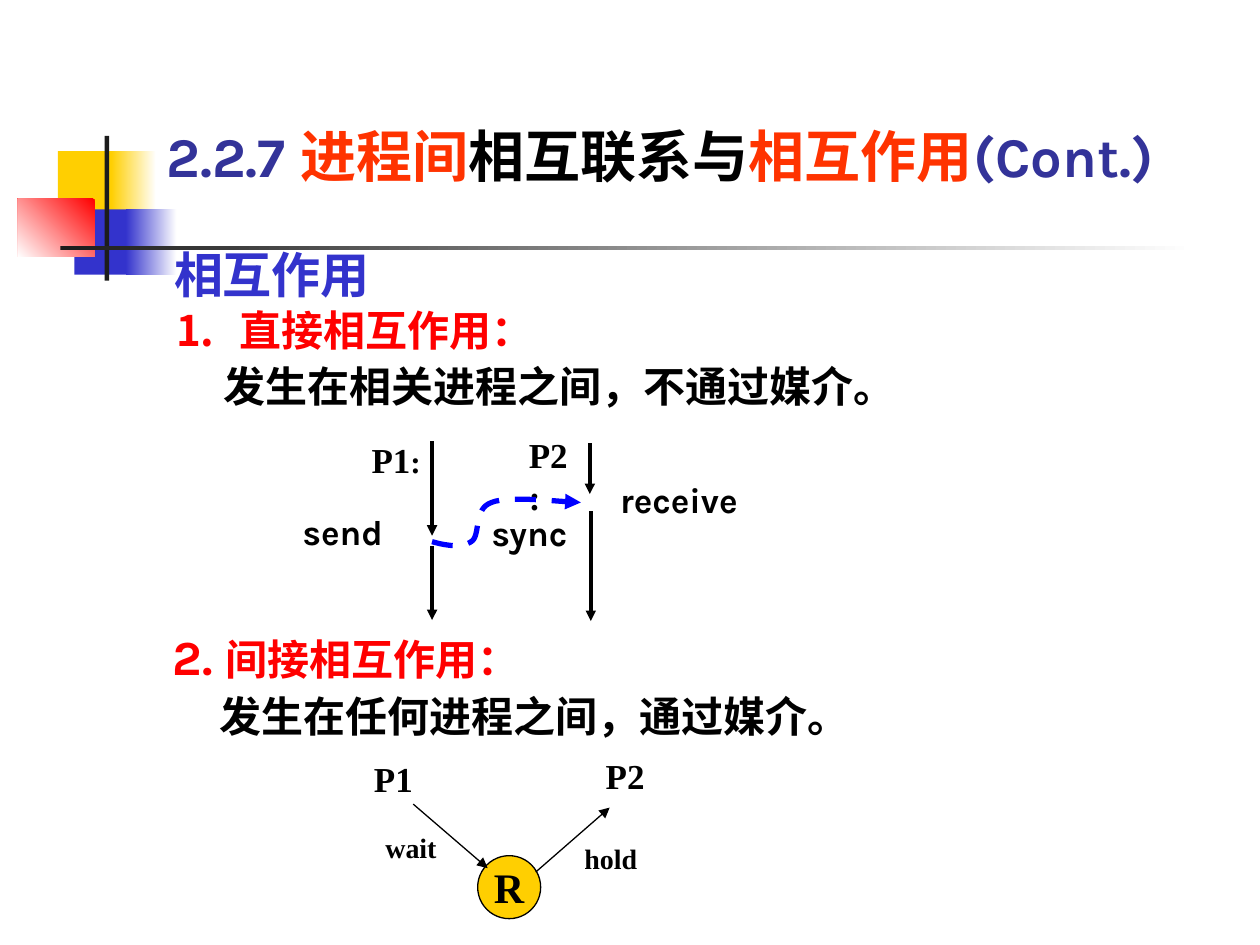
from dataclasses import dataclass
from typing import NamedTuple, Optional

from lxml import etree
from pptx import Presentation
from pptx.dml.color import RGBColor
from pptx.enum.dml import MSO_LINE
from pptx.enum.shapes import MSO_CONNECTOR, MSO_SHAPE
from pptx.enum.text import MSO_ANCHOR, PP_ALIGN
from pptx.oxml.ns import qn
from pptx.util import Cm, Pt

RECTANGLE, OVAL = MSO_SHAPE.RECTANGLE, MSO_SHAPE.OVAL
STRAIGHT, DASH = MSO_CONNECTOR.STRAIGHT, MSO_LINE.DASH
TOP, MIDDLE, BOTTOM = MSO_ANCHOR.TOP, MSO_ANCHOR.MIDDLE, MSO_ANCHOR.BOTTOM
CENTER = PP_ALIGN.CENTER


@dataclass(frozen=True)
class Theme:
    sans: str = "Karla"
    serif: str = "Times New Roman"
    white: str = "FFFFFF"
    black: str = "000000"
    charcoal: str = "1C1C1C"
    yellow: str = "FFCF01"
    blue: str = "3333CC"
    navy: str = "333399"
    orange: str = "FF3300"
    red: str = "FF0000"
    signal: str = "0000FF"
    title: float = 32
    topic: float = 28
    body: float = 24
    label: float = 20
    colon: float = 18
    small: float = 16


THEME = Theme()


class Box(NamedTuple):
    left: float
    top: float
    width: float
    height: float

    def lengths(self):
        return [Cm(value) for value in self]


class Point(NamedTuple):
    x: float
    y: float


class Block(NamedTuple):
    box: Box
    color: str
    fade_to: Optional[str] = None
    angle: float = 0


class Span(NamedTuple):
    text: str
    color: Optional[str] = None
    size: Optional[float] = None


class Line(NamedTuple):
    spans: list[Span]
    size: float
    color: str = THEME.black
    font: str = THEME.sans
    indent: float = 0
    hanging: float = 0
    spacing: float = 1.0
    numbered: bool = False


class Label(NamedTuple):
    text: str
    box: Box
    size: float = THEME.label
    font: str = THEME.serif
    inset: bool = True


class Arrow(NamedTuple):
    start: Point
    end: Point
    weight: float


LOGO_BLOCKS = [
    Block(Box(1.17, 3.05, 1.22, 1.32), THEME.yellow),
    Block(Box(2.24, 3.05, 0.91, 1.32), THEME.yellow, THEME.white),
    Block(Box(1.5, 4.22, 1.17, 1.32), THEME.blue),
    Block(Box(2.54, 4.22, 1.02, 1.32), THEME.blue, THEME.white),
    Block(Box(0.36, 4.01, 1.55, 1.17), THEME.red, THEME.white, 225),
    Block(Box(2.11, 2.74, 0.09, 2.92), THEME.charcoal),
    Block(Box(1.22, 4.95, 22.86, 0.09), THEME.charcoal, THEME.white),
]
TITLE = Line([Span("2.2.7 "), Span("进程间", THEME.orange), Span("相互联系与", THEME.black),
              Span("相互作用", THEME.orange), Span("(Cont.)")], THEME.title, THEME.navy)
TOPIC = Line([Span("相互作用")], THEME.topic, THEME.blue)
DIRECT = [
    Line([Span("直接相互作用：")], THEME.body, THEME.red, indent=1.27, hanging=1.27,
         spacing=1.1, numbered=True),
    Line([Span("发生在相关进程之间，不通过媒介。")], THEME.body, indent=0.95, spacing=1.1),
]
INDIRECT = [
    Line([Span("2. ", size=THEME.topic), Span("间接相互作用：", size=THEME.body)],
         THEME.body, THEME.red, spacing=1.1),
    Line([Span("发生在任何进程之间，通过媒介。")], THEME.body, indent=0.95, spacing=1.1),
]
LABELS = [
    Label("sync", Box(9.91, 10.31, 1.8, 0.84), font=THEME.sans, inset=False),
    Label("send", Box(6.1, 10.29, 2.01, 0.84), font=THEME.sans, inset=False),
    Label("receive", Box(12.5, 9.65, 2.79, 0.84), font=THEME.sans, inset=False),
    Label("P2:", Box(10.41, 8.61, 1.47, 1.96)),
    Label("P2", Box(11.96, 15.09, 1.47, 1.12)),
    Label("P1", Box(7.29, 15.14, 1.7, 1.12)),
    Label("hold", Box(11.53, 16.84, 1.7, 0.94), THEME.small),
    Label("wait", Box(7.52, 16.61, 1.91, 0.94), THEME.small),
]
ARROWS = [
    Arrow(Point(8.71, 8.89), Point(8.71, 10.8), 2),
    Arrow(Point(8.71, 11), Point(8.71, 12.5), 2),
    Arrow(Point(11.89, 8.94), Point(11.89, 9.96), 2),
    Arrow(Point(11.91, 10.31), Point(11.91, 12.52), 2),
    Arrow(Point(10.8, 17.58), Point(12.29, 16.28), 0.75),
    Arrow(Point(8.33, 16.21), Point(9.83, 17.5), 0.75),
]
SYNC_START = Point(8.71, 10.92)
SYNC_CURVES = [
    (Point(8.99, 11), Point(9.3, 11.05), Point(9.5, 10.92)),
    (Point(9.7, 10.8), Point(9.53, 10.26), Point(9.91, 10.13)),
    (Point(10.26, 9.98), Point(11.4, 10.13), Point(11.71, 10.13)),
]


def rgb(color: str) -> RGBColor:
    return RGBColor.from_string(color)


def draw_block(slide, block: Block) -> None:
    shape = slide.shapes.add_shape(RECTANGLE, *block.box.lengths())
    shape.shadow.inherit = False
    shape.line.fill.background()
    if block.fade_to is None:
        shape.fill.solid()
        shape.fill.fore_color.rgb = rgb(block.color)
        return
    shape.fill.gradient()
    shape.fill.gradient_angle = block.angle
    for stop, color in zip(shape.fill.gradient_stops, (block.color, block.fade_to)):
        stop.color.rgb = rgb(color)


def write_line(paragraph, line: Line) -> None:
    properties = paragraph._p.get_or_add_pPr()
    properties.set("marL", str(Cm(line.indent)))
    properties.set("indent", str(-Cm(line.hanging)))
    paragraph.line_spacing = line.spacing
    if line.numbered:
        bullet_color = etree.SubElement(properties, qn("a:buClr"))
        etree.SubElement(bullet_color, qn("a:srgbClr"), val=line.color)
        etree.SubElement(properties, qn("a:buAutoNum"), type="arabicPeriod")
    font = paragraph.font
    font.name, font.size, font.bold = line.font, Pt(line.size), True
    font.color.rgb = rgb(line.color)
    for span in line.spans:
        run = paragraph.add_run()
        run.text = span.text
        if span.color:
            run.font.color.rgb = rgb(span.color)
        if span.size:
            run.font.size = Pt(span.size)


def draw_text(slide, box: Box, lines: list[Line], inset: bool = True, anchor=TOP) -> None:
    frame = slide.shapes.add_textbox(*box.lengths()).text_frame
    frame.word_wrap = True
    frame.vertical_anchor = anchor
    if not inset:
        frame.margin_left = frame.margin_right = frame.margin_top = frame.margin_bottom = 0
    for index, line in enumerate(lines):
        write_line(frame.add_paragraph() if index else frame.paragraphs[0], line)


def add_arrowhead(line) -> None:
    etree.SubElement(line._get_or_add_ln(), qn("a:tailEnd"), type="triangle")


def draw_arrow(slide, arrow: Arrow) -> None:
    ends = [Cm(value) for value in (*arrow.start, *arrow.end)]
    connector = slide.shapes.add_connector(STRAIGHT, *ends)
    connector.line.color.rgb = rgb(THEME.black)
    connector.line.width = Pt(arrow.weight)
    add_arrowhead(connector.line)
    etree.SubElement(connector._element.spPr, qn("a:effectLst"))


def draw_resource(slide) -> None:
    shape = slide.shapes.add_shape(OVAL, *Box(9.63, 17.25, 1.27, 1.27).lengths())
    shape.shadow.inherit = False
    shape.fill.solid()
    shape.fill.fore_color.rgb = rgb(THEME.yellow)
    shape.line.color.rgb = rgb(THEME.black)
    shape.line.width = Pt(0.75)
    frame = shape.text_frame
    frame.word_wrap = False
    frame.vertical_anchor = MIDDLE
    write_line(frame.paragraphs[0], Line([Span("R")], THEME.body, font=THEME.serif))
    frame.paragraphs[0].alignment = CENTER


def bezier(start: Point, first: Point, second: Point, end: Point, steps: int = 16) -> list[Point]:
    """Points along a cubic curve, without its start."""
    points = []
    for step in range(1, steps + 1):
        t = step / steps
        weights = ((1 - t) ** 3, 3 * t * (1 - t) ** 2, 3 * t * t * (1 - t), t ** 3)
        points.append(Point(*(sum(w * c for w, c in zip(weights, axis))
                              for axis in zip(start, first, second, end))))
    return points


def draw_sync_signal(slide) -> None:
    route = [SYNC_START]
    for curve in SYNC_CURVES:
        route += bezier(route[-1], *curve)
    builder = slide.shapes.build_freeform(*(Cm(value) for value in SYNC_START))
    builder.add_line_segments([(Cm(p.x), Cm(p.y)) for p in route[1:]], close=False)
    signal = builder.convert_to_shape()
    signal.shadow.inherit = False
    signal.fill.background()
    signal.line.color.rgb = rgb(THEME.signal)
    signal.line.width = Pt(3)
    signal.line.dash_style = DASH
    add_arrowhead(signal.line)


def main() -> None:
    deck = Presentation()
    deck.slide_width, deck.slide_height = Cm(25.4), Cm(19.05)
    slide = deck.slides.add_slide(deck.slide_layouts[6])
    for block in LOGO_BLOCKS:
        draw_block(slide, block)
    draw_text(slide, Box(3.1, 0.97, 21.41, 2.97), [TITLE], anchor=BOTTOM)
    draw_text(slide, Box(3.51, 4.93, 4.19, 1.19), [TOPIC], inset=False)
    draw_text(slide, Box(3.3, 5.92, 17.68, 2.49), DIRECT)
    draw_text(slide, Box(3.48, 12.52, 18.42, 2.41), INDIRECT, inset=False)
    p1_line = Line([Span("P1", size=THEME.label), Span(":", size=THEME.colon)],
                   THEME.label, font=THEME.serif)
    draw_text(slide, Box(7.24, 8.71, 1.7, 1.12), [p1_line])
    for label in LABELS:
        line = Line([Span(label.text)], label.size, font=label.font)
        draw_text(slide, label.box, [line], label.inset)
    draw_resource(slide)
    for arrow in ARROWS:
        draw_arrow(slide, arrow)
    draw_sync_signal(slide)
    deck.save("out.pptx")


if __name__ == "__main__":
    main()
